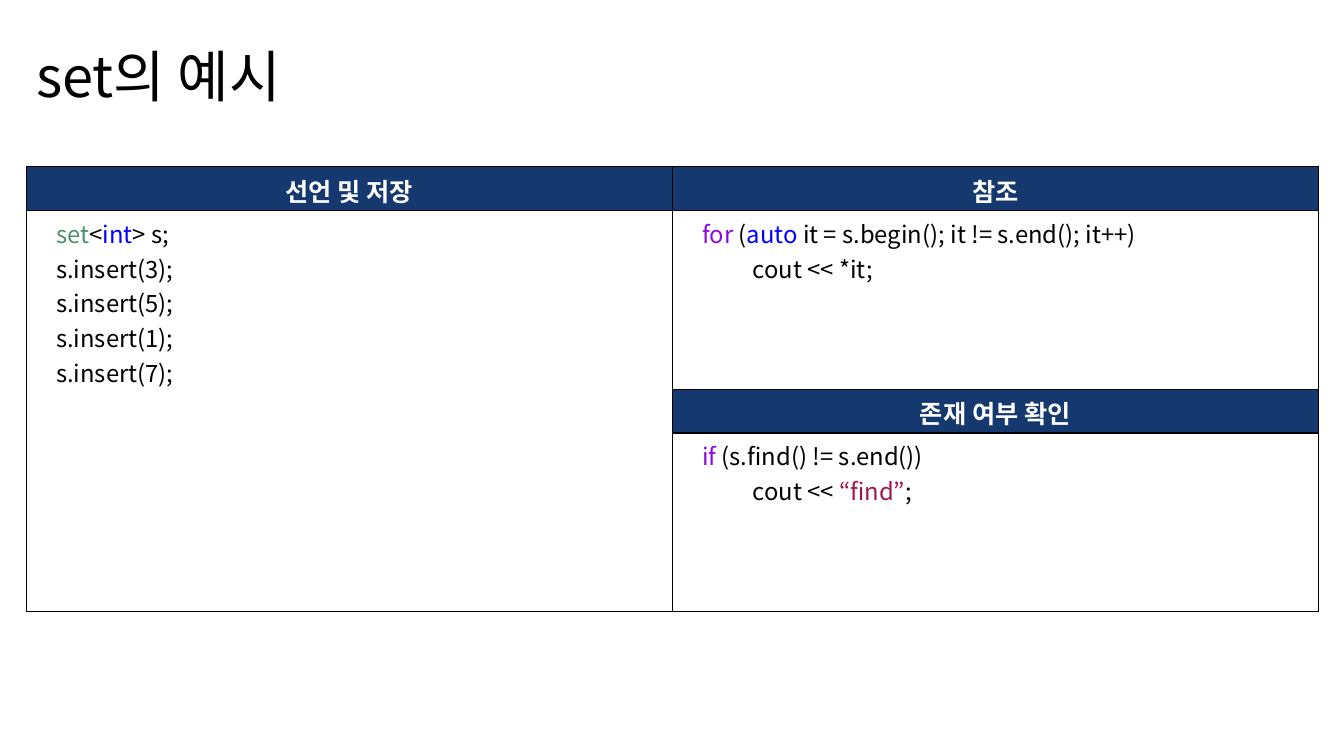
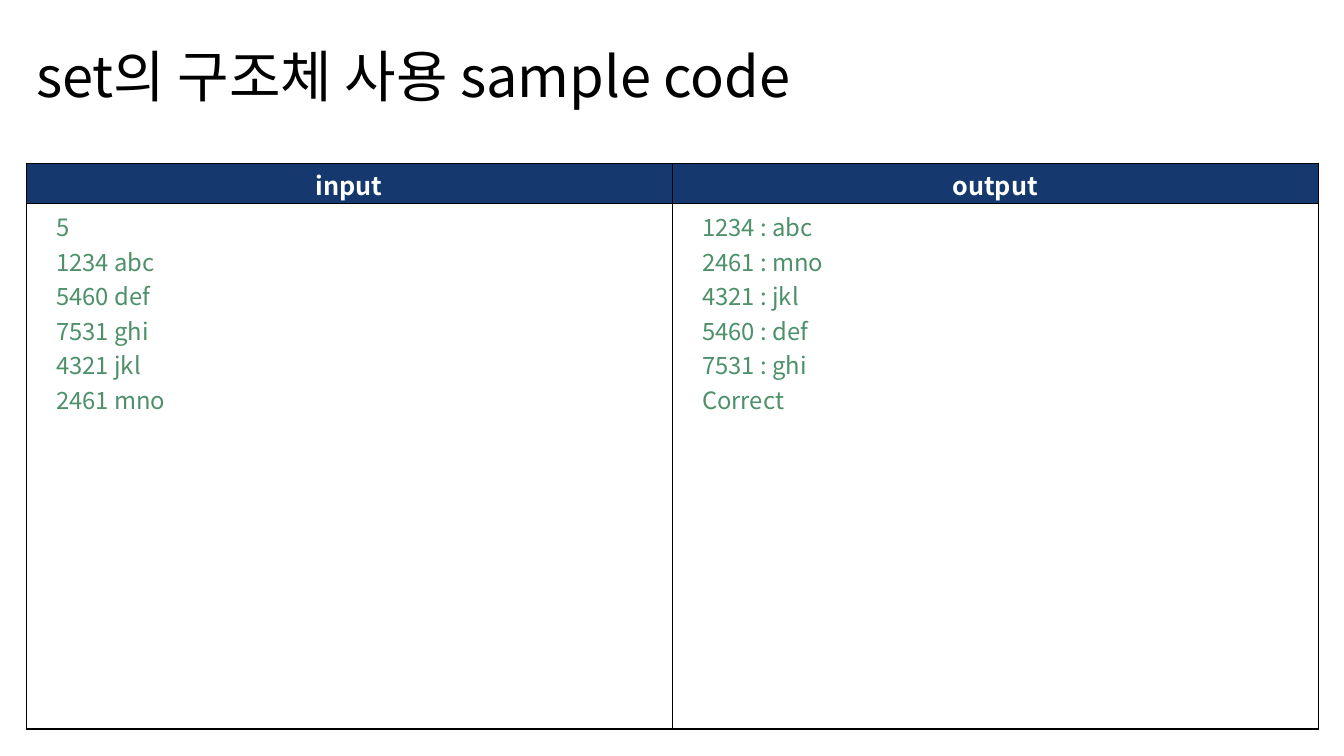
from lxml import etree
from pptx import Presentation
from pptx.dml.color import RGBColor
from pptx.enum import text as t
from pptx.oxml import ns
from pptx.util import Cm, Pt

FONT = "Noto Sans CJK KR"
BLACK, WHITE, NAVY = "000000", "FFFFFF", "15396F"
GREEN, BLUE, PURPLE, RED = "4D906A", "0000FF", "8F08E1", "A31552"
LEFT, WIDTH = 0.66, 32.56


def paint(item, color):
    """Give a fill, line or font colour from a hex string."""
    item.rgb = RGBColor.from_string(color)


def style(run, size, color, bold=False):
    font = run.font
    font.name, font.size, font.bold = FONT, Pt(size), bold
    paint(font.color, color)
    east = etree.SubElement(run._r.get_or_add_rPr(), ns.qn("a:ea"))
    east.set("typeface", FONT)


def title(slide, words, width):
    box = slide.shapes.add_textbox(Cm(LEFT), Cm(1.12), Cm(width), Cm(1.93))
    frame = box.text_frame
    frame.word_wrap = True
    frame.auto_size = t.MSO_AUTO_SIZE.SHAPE_TO_FIT_TEXT
    frame.text = words
    para = frame.paragraphs[0]
    para.line_spacing = 0.9
    style(para.runs[0], 40, BLACK)


def border(cell):
    props = cell._tc.get_or_add_tcPr()
    for i, side in enumerate(("lnL", "lnR", "lnT", "lnB")):
        line = etree.Element(ns.qn("a:" + side), w=str(Pt(1)))
        fill = etree.SubElement(line, ns.qn("a:solidFill"))
        etree.SubElement(fill, ns.qn("a:srgbClr"), val=BLACK)
        props.insert(i, line)


def head(cell, words):
    paint_cell(cell, NAVY)
    cell.vertical_anchor = t.MSO_ANCHOR.MIDDLE
    cell.margin_top, cell.margin_bottom = Cm(0.08), Cm(0)
    cell.text = words
    para = cell.text_frame.paragraphs[0]
    para.alignment = t.PP_ALIGN.CENTER
    style(para.runs[0], 18, WHITE, True)


def code(cell, lines):
    """Write lines, each a list of (text, colour) parts."""
    paint_cell(cell, WHITE)
    frame = cell.text_frame
    for i, line in enumerate(lines):
        para = frame.add_paragraph() if i else frame.paragraphs[0]
        props = para._p.get_or_add_pPr()
        props.set("marL", str(Cm(0.5)))
        props.set("indent", "0")
        tabs = etree.SubElement(props, ns.qn("a:tabLst"))
        etree.SubElement(tabs, ns.qn("a:tab"), pos=str(Cm(2.54)), algn="l")
        for words, color in line:
            run = para.add_run()
            run.text = words
            style(run, 17, color)


def paint_cell(cell, color):
    cell.fill.solid()
    paint(cell.fill.fore_color, color)


def grid(slide, top, rows):
    """Add a bordered table with two equal columns."""
    table = slide.shapes.add_table(len(rows), 2, Cm(LEFT), Cm(top),
                                   Cm(WIDTH), Cm(sum(rows))).table
    for col in table.columns:
        col.width = Cm(WIDTH / 2)
    for row, height in zip(table.rows, rows):
        row.height = Cm(height)
        for cell in row.cells:
            border(cell)
    return table


def plain(words, color):
    return [[(line, color)] for line in words.split("\n")]


def usage(slide):
    title(slide, "set의 예시", 22.1)
    table = grid(slide, 4.19, [1.12, 4.5, 1.1, 4.5])
    table.cell(1, 0).merge(table.cell(3, 0))

    # Declaring and storing
    head(table.cell(0, 0), "선언 및 저장")
    code(table.cell(1, 0), [
        [("set", GREEN), ("<", BLACK), ("int", BLUE), ("> s;", BLACK)],
        *[[(f"s.insert({n});", BLACK)] for n in (3, 5, 1, 7)]])

    # Reading
    head(table.cell(0, 1), "참조")
    code(table.cell(1, 1), [
        [("for ", PURPLE), ("(", BLACK), ("auto", BLUE),
         (" it = s.begin(); it != s.end(); it++)", BLACK)],
        [("\tcout << *it;", BLACK)]])

    # Looking up
    head(table.cell(2, 1), "존재 여부 확인")
    code(table.cell(3, 1), [
        [("if", PURPLE), (" (s.find() != s.end())", BLACK)],
        [("\tcout << ", BLACK), ("“find”", RED), (";", BLACK)]])


def sample(slide):
    title(slide, "set의 구조체 사용 sample code", WIDTH)
    table = grid(slide, 4.11, [1.02, 13.24])
    parts = [
        ("input", "5\n1234 abc\n5460 def\n7531 ghi\n4321 jkl\n2461 mno"),
        ("output", "1234 : abc\n2461 : mno\n4321 : jkl\n5460 : def\n"
                   "7531 : ghi\nCorrect")]
    for col, (name, words) in enumerate(parts):
        head(table.cell(0, col), name)
        code(table.cell(1, col), plain(words, GREEN))


def main():
    deck = Presentation()
    deck.slide_width, deck.slide_height = Cm(33.87), Cm(19.05)
    for build in (usage, sample):
        build(deck.slides.add_slide(deck.slide_layouts[6]))
    deck.save("out.pptx")


if __name__ == "__main__":
    main()
